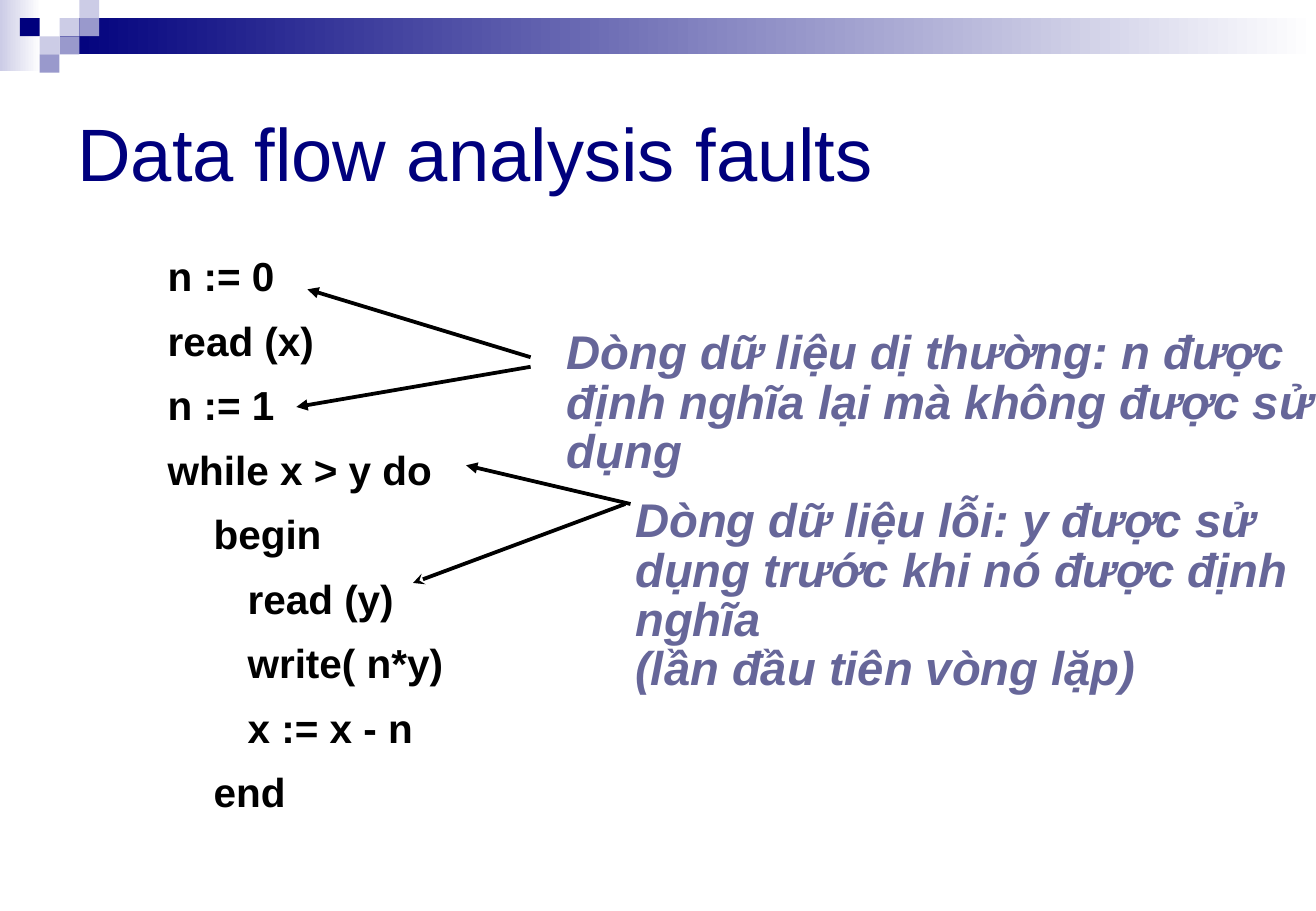
import pptx
import pptx.dml.color
import pptx.enum.shapes
import pptx.enum.text
import pptx.oxml
import pptx.util
from pptx.util import Cm, Pt

NAVY, LAVENDER, PALE = "00007D", "9999CC", "CCCCE6"
WHITE, BLACK, SLATE = "FFFFFF", "000000", "666699"
WIDTH, HEIGHT = 27.53, 19.05
CODE = [(0, "n := 0"), (0, "read (x)"), (0, "n := 1"), (0, "while x > y do"),
        (1, "begin"), (2, "read (y)"), (2, "write( n*y)"), (2, "x := x - n"),
        (1, "end")]
CODE_INDENTS = [0, 0.96, 1.67]
REDEFINED = ["Dòng dữ liệu dị thường: n được",
             "định nghĩa lại mà không được sử", "dụng"]
USED_EARLY = ["Dòng dữ liệu lỗi: y được sử", "dụng trước khi nó được định",
              "nghĩa", "(lần đầu tiên vòng lặp)"]


def color(hex_string):
    return pptx.dml.color.RGBColor.from_string(hex_string)


def add_block(slide, left, top, width, height, *colors):
    """Borderless rectangle: one colour is solid, two run left to right."""
    block = slide.shapes.add_shape(pptx.enum.shapes.MSO_SHAPE.RECTANGLE,
                                   Cm(left), Cm(top), Cm(width), Cm(height))
    block.shadow.inherit = False
    block.line.fill.background()
    if len(colors) == 1:
        block.fill.solid()
        block.fill.fore_color.rgb = color(colors[0])
    else:
        block.fill.gradient()
        block.fill.gradient_angle = 0
        for stop, shade in zip(block.fill.gradient_stops, colors):
            stop.color.rgb = color(shade)


def add_lines(slide, box, lines, size, shade, bold=False, italic=False,
              spacing=None, before=None, wrap=True, inset=(0.18, 0.08)):
    left, top, width, height = box
    text = slide.shapes.add_textbox(Cm(left), Cm(top), Cm(width), Cm(height))
    frame = text.text_frame
    frame.word_wrap = wrap
    frame.margin_left = frame.margin_right = Cm(inset[0])
    frame.margin_top = frame.margin_bottom = Cm(inset[1])
    frame.text = "\n".join(lines)
    for paragraph in frame.paragraphs:
        paragraph.line_spacing = spacing
        paragraph.space_before = before
        font = paragraph.font
        font.name, font.size = "Arial", Pt(size)
        font.bold, font.italic = bold, italic
        font.color.rgb = color(shade)
    return frame


def add_arrow(slide, start, end, head):
    arrow = slide.shapes.add_connector(
        pptx.enum.shapes.MSO_CONNECTOR.STRAIGHT, *map(Cm, start + end))
    arrow.line.color.rgb = color(BLACK)
    arrow.line.width = Pt(2.25)
    tail = pptx.oxml.xmlchemy.OxmlElement("a:tailEnd")
    tail.set("type", head)
    arrow.line._get_or_add_ln().append(tail)
    arrow._element.spPr.append(pptx.oxml.xmlchemy.OxmlElement("a:effectLst"))


def banner(slide, left, top, width):
    """Gradient bars with a checkered corner."""
    cell_w, cell_h = 0.415, 0.38
    add_block(slide, left, top, 0.86, 1.48, PALE, WHITE)
    bar = 3 * cell_w
    add_block(slide, left + bar, top + cell_h, width - bar, 2 * cell_h,
              NAVY, WHITE)
    cells = [(3, 1, PALE), (4, 0, PALE), (4, 1, LAVENDER), (2, 2, PALE),
             (1, 1, NAVY), (3, 2, LAVENDER), (2, 3, LAVENDER)]
    for column, row, shade in cells:
        add_block(slide, left + column * cell_w, top + row * cell_h,
                  cell_w, cell_h, shade)


def title(slide, *box):
    frame = add_lines(slide, box, ["Data flow analysis faults"], 44, NAVY,
                      inset=(0.25, 0.13))
    frame.vertical_anchor = pptx.enum.text.MSO_ANCHOR.MIDDLE


def code_listing(slide, *box):
    frame = add_lines(slide, box, [line for _, line in CODE], 24, BLACK,
                      bold=True, spacing=0.88, before=Pt(12.9))
    for paragraph, (level, _) in zip(frame.paragraphs, CODE):
        properties = paragraph._p.get_or_add_pPr()
        properties.set("marL", str(Cm(CODE_INDENTS[level])))


def fault_note(slide, box, lines, arrows):
    """Remark with arrows, whose ends are offsets from the box corner."""
    add_lines(slide, box, lines, 28, SLATE, bold=True, italic=True,
              spacing=0.87, wrap=False)
    left, top = box[:2]
    for (x1, y1), (x2, y2), head in arrows:
        add_arrow(slide, (left + x1, top + y1), (left + x2, top + y2), head)


def main():
    deck = pptx.Presentation()
    deck.slide_width, deck.slide_height = Cm(WIDTH), Cm(HEIGHT)
    slide = deck.slides.add_slide(deck.slide_layouts[6])
    banner(slide, 0, 0, WIDTH)
    title(slide, 1.37, 1.27, 24.77, 3.81)
    code_listing(slide, 3.33, 5.31, 7.95, 11.81)
    fault_note(slide, (11.68, 6.83, 16.23, 3.25), REDEFINED,
               [((-0.58, 0.84), (-5.48, 1.68), "triangle"),
                ((-0.58, 0.64), (-5.25, -0.78), "triangle")])
    fault_note(slide, (13.11, 10.34, 14.27, 4.27), USED_EARLY,
               [((0.08, 0.2), (-3.36, -0.61), "triangle"),
                ((-0.03, 0.2), (-4.47, 1.85), "stealth")])
    deck.save("out.pptx")


if __name__ == "__main__":
    main()
